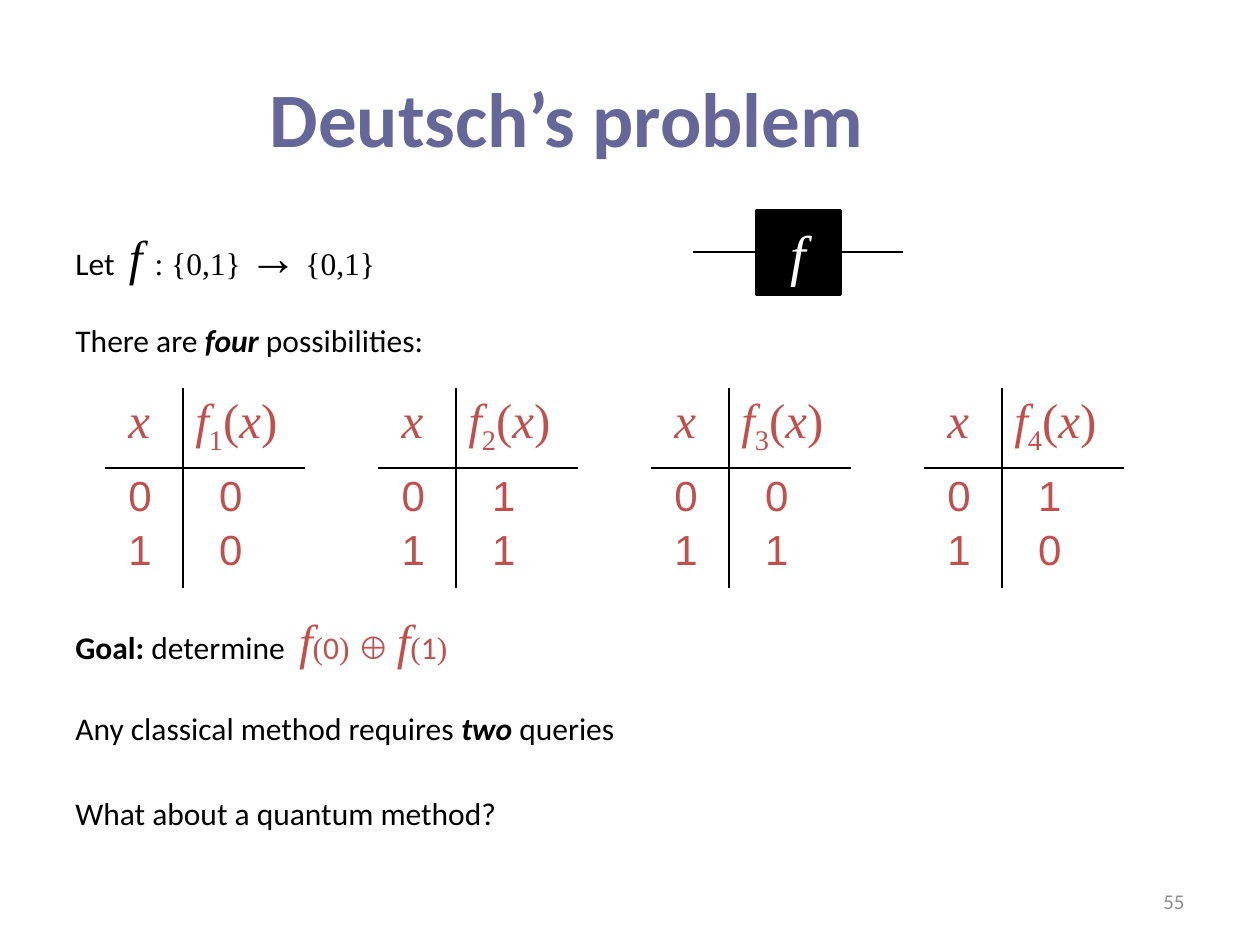
from dataclasses import dataclass, replace

from lxml.etree import SubElement
from pptx import Presentation
from pptx.dml.color import RGBColor
from pptx.enum.shapes import MSO_CONNECTOR as Connector, MSO_SHAPE as Shape
from pptx.enum.text import MSO_ANCHOR as Anchor, MSO_AUTO_SIZE as AutoSize, PP_ALIGN as Align
from pptx.oxml.ns import qn
from pptx.util import Inches, Pt

COLORS = {
    "title": "666699",
    "text": "000000",
    "accent": "C0504D",
    "light": "FFFFFF",
    "muted": "8C8C8C",
}
SANS, SERIF, DIGITS = "Calibri", "Times New Roman", "Arial"
LINE_WIDTH = Pt(1.5)


@dataclass(frozen=True)
class Span:
    text: str
    size: float = 18
    font: str = SANS
    color: str = "text"
    bold: bool = False
    italic: bool = False
    subscript: bool = False
    tracking: float = 0


@dataclass(frozen=True)
class TextLine:
    top: float
    width: float
    height: float
    spans: tuple[Span, ...]


@dataclass(frozen=True)
class TruthTable:
    index: int
    outputs: tuple[str, str]


def rgb(name: str) -> RGBColor:
    return RGBColor.from_string(COLORS[name])


def write(para, *spans: Span, align=Align.LEFT, before: float = 0) -> None:
    para.alignment = align
    para.space_before = Pt(before)
    for span in spans:
        run = para.add_run()
        run.text = span.text
        font = run.font
        font.name, font.size = span.font, Pt(span.size)
        font.bold, font.italic = span.bold, span.italic
        font.color.rgb = rgb(span.color)
        properties = font._element
        if span.subscript:
            properties.set("baseline", "-25000")
        if span.tracking:
            properties.set("spc", str(round(span.tracking * 100)))


def add_text_line(page, line: TextLine) -> None:
    box = page.shapes.add_textbox(
        Inches(0.5), Inches(line.top), Inches(line.width), Inches(line.height))
    box.text_frame.word_wrap = False
    box.text_frame.auto_size = AutoSize.SHAPE_TO_FIT_TEXT
    write(box.text_frame.paragraphs[0], *line.spans)


def add_wire(group, start: float, end: float, y: float) -> None:
    wire = group.shapes.add_connector(
        Connector.STRAIGHT, Inches(start), Inches(y), Inches(end), Inches(y))
    wire.line.color.rgb = rgb("text")
    wire.line.width = LINE_WIDTH
    SubElement(wire._element.spPr, qn("a:effectLst"))


def add_black_box(page) -> None:
    group = page.shapes.add_group_shape()
    box = group.shapes.add_shape(
        Shape.RECTANGLE, Inches(6), Inches(1.67), Inches(0.67), Inches(0.67))
    box.shadow.inherit = False
    box.fill.solid()
    box.fill.fore_color.rgb = rgb("text")
    box.line.color.rgb = rgb("text")
    box.line.width = LINE_WIDTH
    box.text_frame.word_wrap = False
    box.text_frame.vertical_anchor = Anchor.MIDDLE
    write(box.text_frame.paragraphs[0],
          Span("f", 32, SERIF, "light", italic=True), align=Align.CENTER)
    add_wire(group, 6, 5.5, 2)
    add_wire(group, 7.17, 6.67, 2)


def style_cell(cell, ruled_sides: str, indent: float) -> None:
    properties = cell._tc.get_or_add_tcPr()
    for side in "LRTB":
        border = SubElement(properties, qn(f"a:ln{side}"), w=str(LINE_WIDTH))
        if side in ruled_sides:
            fill = SubElement(border, qn("a:solidFill"))
            SubElement(fill, qn("a:srgbClr"), val=COLORS["text"])
        else:
            SubElement(border, qn("a:noFill"))
    cell.fill.background()
    cell.margin_left = Inches(indent)


def add_truth_table(page, left: float, truth: TruthTable) -> None:
    frame = page.shapes.add_table(
        2, 2, Inches(left), Inches(3.08), Inches(1.58), Inches(1.56))
    table = frame.table
    table.first_row = table.horz_banding = False
    for column, width in zip(table.columns, (0.62, 0.97)):
        column.width = Inches(width)
    for row, height in zip(table.rows, (0.62, 0.94)):
        row.height = Inches(height)

    variable = Span("x", 28, SERIF, "accent", italic=True)
    upright = replace(variable, italic=False)
    function = (
        replace(variable, text="f"),
        replace(upright, text=str(truth.index), subscript=True),
        replace(upright, text="("),
        variable,
        replace(upright, text=")"),
    )
    for column, (spans, side, indent) in enumerate((((variable,), "R", 0.19), (function, "L", 0.1))):
        cell = table.cell(0, column)
        style_cell(cell, side + "B", indent)
        write(cell.text_frame.paragraphs[0], *spans, before=4)
    for column, (values, side, indent) in enumerate(((("0", "1"), "R", 0.19), (truth.outputs, "L", 0.29))):
        cell = table.cell(1, column)
        style_cell(cell, side + "T", indent)
        frame_text = cell.text_frame
        for para, value in zip((frame_text.paragraphs[0], frame_text.add_paragraph()), values):
            write(para, Span(value, 24, DIGITS, "accent"), before=4)


def add_title(page, text: str) -> None:
    title = page.shapes.title
    title.left, title.top = Inches(0), Inches(0.3)
    title.width, title.height = Inches(9), Inches(1.25)
    title.text_frame.vertical_anchor = Anchor.MIDDLE
    write(title.text_frame.paragraphs[0], Span(text, 44, color="title", bold=True), align=Align.CENTER)


def add_page_number(page, number: str) -> None:
    box = page.shapes.add_textbox(Inches(7.17), Inches(6.95), Inches(2.33), Inches(0.4))
    box.text_frame.word_wrap = True
    box.text_frame.vertical_anchor = Anchor.MIDDLE
    write(box.text_frame.paragraphs[0], Span(number, 12, color="muted"), align=Align.RIGHT)


def emphasis(text: str) -> Span:
    return Span(text, bold=True, italic=True)


WIDE_SPACE = Span(" ", tracking=4)
GOAL_F = Span("f", 28, SERIF, "accent", italic=True)
GOAL_SERIF = Span("(", font=SERIF, color="accent")
GOAL_DIGIT = Span("0", color="accent")

TEXT_LINES = (
    TextLine(1.75, 3.26, 0.57, (
        Span("Let"), WIDE_SPACE, Span("f ", 28, SERIF, italic=True),
        Span(": {0,1} ", font=SERIF), Span("→", 28, SERIF), Span(" {0,1}", font=SERIF))),
    TextLine(2.5, 4.28, 0.5, (Span("There are "), emphasis("four"), Span(" possibilities:"))),
    TextLine(4.8, 4.36, 0.57, (
        Span("Goal: ", bold=True), Span("determine"), WIDE_SPACE,
        GOAL_F, GOAL_SERIF, GOAL_DIGIT, replace(GOAL_SERIF, text=") ⊕ "),
        GOAL_F, GOAL_SERIF, replace(GOAL_DIGIT, text="1"), replace(GOAL_SERIF, text=")"))),
    TextLine(5.58, 6.49, 0.5, (
        Span("Any classical method requires "), emphasis("two"), Span(" queries"))),
    TextLine(6.25, 4.97, 0.5, (Span("What about a quantum method?"),)),
)
OUTPUTS = (("0", "0"), ("1", "1"), ("0", "1"), ("1", "0"))


def main() -> None:
    deck = Presentation()
    deck.slide_width, deck.slide_height = Inches(10), Inches(7.5)
    page = deck.slides.add_slide(deck.slide_layouts[5])
    add_title(page, "Deutsch’s problem")
    add_black_box(page)
    for line in TEXT_LINES:
        add_text_line(page, line)
    for position, outputs in enumerate(OUTPUTS):
        add_truth_table(page, 0.83 + position * 13 / 6, TruthTable(position + 1, outputs))
    add_page_number(page, "55")
    deck.save("out.pptx")


if __name__ == "__main__":
    main()
